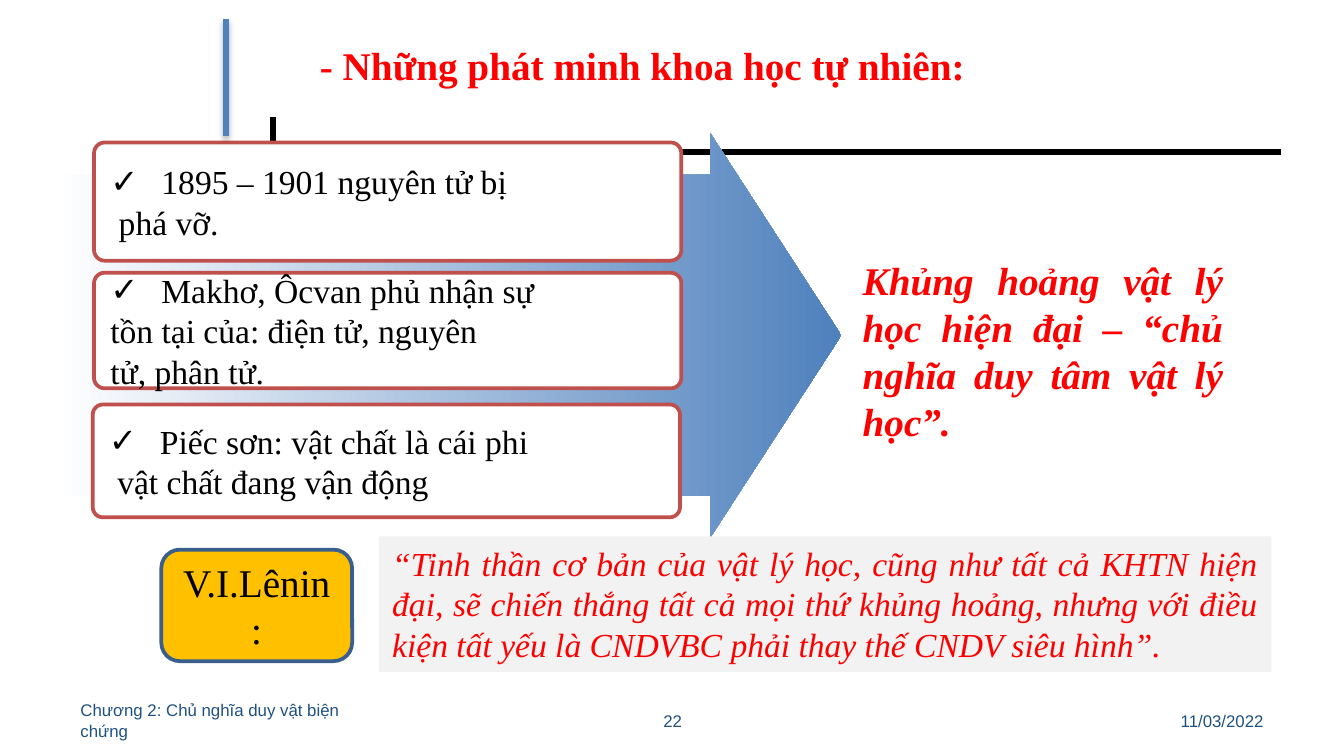
from lxml.etree import SubElement
from pptx import Presentation
from pptx.dml.color import RGBColor
from pptx.enum.shapes import MSO_CONNECTOR as Connector, MSO_SHAPE as Shape
from pptx.enum.text import MSO_ANCHOR as Anchor, MSO_AUTO_SIZE as AutoSize, PP_ALIGN as Align
from pptx.oxml.ns import qn
from pptx.util import Inches, Pt

COLORS = {
    "black": "000000", "white": "FFFFFF", "red": "FF0000", "blue": "4F81BD",
    "brick": "C0504D", "gray": "F2F2F2", "amber": "FFC000",
    "navy": "3A5F8C", "footer": "1F5281",
}
SERIF = "Times New Roman"
SANS = "Arial"


def color(name):
    """Return the named palette colour."""
    return RGBColor.from_string(COLORS[name])


def write(shape, lines, size=18, font=SERIF, ink="black", bold=False, italic=False,
          align=Align.JUSTIFY, anchor=Anchor.TOP, check=False):
    """Fill a shape with one paragraph per line, optionally checking the first."""
    frame = shape.text_frame
    frame.word_wrap = True
    frame.auto_size = AutoSize.NONE
    frame.vertical_anchor = anchor
    for index, line in enumerate(lines):
        para = frame.paragraphs[0] if index == 0 else frame.add_paragraph()
        para.alignment = align
        if check:
            props = para._p.get_or_add_pPr()
            props.set("marL", str(Inches(0.38)))
            props.set("indent", str(Inches(-0.38)))
            if index == 0:
                SubElement(props, qn("a:buFont")).set("typeface", SANS)
                SubElement(props, qn("a:buChar")).set("char", "✓")
            else:
                SubElement(props, qn("a:buNone"))
        span = para.add_run()
        span.text = line
        span.font.name = font
        span.font.size = Pt(size)
        span.font.bold = bold
        span.font.italic = italic
        span.font.color.rgb = color(ink)


def add_box(page, kind, box, fill, line=None):
    """Add a flat preset shape with a solid fill and an optional outline."""
    shape = page.shapes.add_shape(kind, *map(Inches, box))
    shape.shadow.inherit = False
    shape.fill.solid()
    shape.fill.fore_color.rgb = color(fill)
    if line:
        shape.line.color.rgb = color(line)
        shape.line.width = Pt(2)
    else:
        shape.line.fill.background()
    return shape


def add_text(page, box, text, **style):
    """Add a text box holding one paragraph."""
    write(page.shapes.add_textbox(*map(Inches, box)), [text], **style)


def add_rule(page, start, end, ink, shadow=False):
    """Add a straight rule, with a soft drop shadow if asked."""
    rule = page.shapes.add_connector(Connector.STRAIGHT, *map(Inches, start + end))
    rule.line.color.rgb = color(ink)
    rule.line.width = Pt(3)
    effects = SubElement(rule._element.spPr, qn("a:effectLst"))
    if shadow:
        outer = SubElement(effects, qn("a:outerShdw"), blurRad=str(Pt(3.1)),
                           dist=str(Pt(1.8)), dir="5400000", rotWithShape="0")
        tone = SubElement(outer, qn("a:srgbClr"), val=COLORS["black"])
        SubElement(tone, qn("a:alpha"), val="35000")


def add_heading(page, left, top, width, height):
    """Place the title and the rules that frame it."""
    add_rule(page, (left - 1.11, top + 0.87), (left + 7.25, top + 0.87), "black")
    add_rule(page, (left - 0.25, top + 0.61), (left - 0.25, top + 1.01), "black")
    title = page.shapes.title
    title.left, title.top, title.width, title.height = map(Inches, (left, top, width, height))
    write(title, ["- Những phát minh khoa học tự nhiên:"], size=21, ink="red", bold=True)


def add_discoveries(page, left, top, width, height):
    """Place the arrow, its three cards and the conclusion it points to."""
    arrow = add_box(page, Shape.RIGHT_ARROW, (left, top, width, height), "blue")
    arrow.adjustments[0] = 0.793
    arrow.adjustments[1] = 0.324
    arrow.fill.gradient()
    arrow.fill.gradient_angle = 0
    for stop, name in zip(arrow.fill.gradient_stops, ("white", "blue")):
        stop.color.rgb = color(name)

    cards = [
        (0.30, 0.07, 0.88, ["1895 – 1901 nguyên tử bị", " phá vỡ. "]),
        (0.30, 1.04, 0.86, ["Makhơ, Ôcvan phủ nhận sự ", "tồn tại của: điện tử, nguyên ",
                            "tử, phân tử."]),
        (0.29, 2.02, 0.84, ["Piếc sơn: vật chất là cái phi", " vật chất đang vận động"]),
    ]
    for across, down, tall, lines in cards:
        card = add_box(page, Shape.ROUNDED_RECTANGLE,
                       (left + across, top + down, 4.37, tall), "white", "brick")
        card.adjustments[0] = 0.091
        write(card, lines, anchor=Anchor.MIDDLE, check=True)

    add_text(page, (left + width + 0.06, top + 0.87, 2.88, 1.51),
             "Khủng hoảng vật lý học hiện đại – “chủ nghĩa duy tâm vật lý học”.",
             size=21, ink="red", bold=True, italic=True)


def add_quote(page, left, top, width, height):
    """Place the speaker badge and the quotation beside it."""
    quote = add_box(page, Shape.RECTANGLE, (left + 1.62, top, width - 1.62, height), "gray")
    write(quote, ["“Tinh thần cơ bản của vật lý học, cũng như tất cả KHTN hiện đại, "
                  "sẽ chiến thắng tất cả mọi thứ khủng hoảng, nhưng với điều kiện tất yếu "
                  "là CNDVBC phải thay thế CNDV siêu hình”."], ink="red", italic=True)
    badge = add_box(page, Shape.ROUNDED_RECTANGLE, (left, top + 0.1, 1.42, 0.83),
                    "amber", "navy")
    write(badge, ["V.I.Lênin:"], size=21, align=Align.CENTER, anchor=Anchor.MIDDLE)


def add_footer(page, left, top, width, height):
    """Place the chapter, page number and date along the bottom."""
    parts = [
        (width - 2.33, 2.33, "11/03/2022", Align.RIGHT),
        (0, 2.33, "Chương 2: Chủ nghĩa duy vật biện chứng", Align.LEFT),
        (2.92, 3.17, "22", Align.CENTER),
    ]
    for across, wide, text, align in parts:
        add_text(page, (left + across, top, wide, height), text, size=9, font=SANS,
                 ink="footer", align=align, anchor=Anchor.MIDDLE)


def main():
    """Build the slide and save the deck."""
    deck = Presentation()
    deck.slide_width = Inches(10)
    deck.slide_height = Inches(10 * 9 / 16)
    page = deck.slides.add_slide(deck.slide_layouts[5])
    add_heading(page, 2.28, 0.26, 5.04, 0.45)
    add_discoveries(page, 0.4, 0.99, 5.86, 3.01)
    add_quote(page, 1.2, 3.99, 8.26, 1.01)
    add_rule(page, (1.68, 0.14), (1.68, 1.01), "blue", shadow=True)
    add_footer(page, 0.5, 5.21, 9, 0.3)
    deck.save("out.pptx")


if __name__ == "__main__":
    main()
